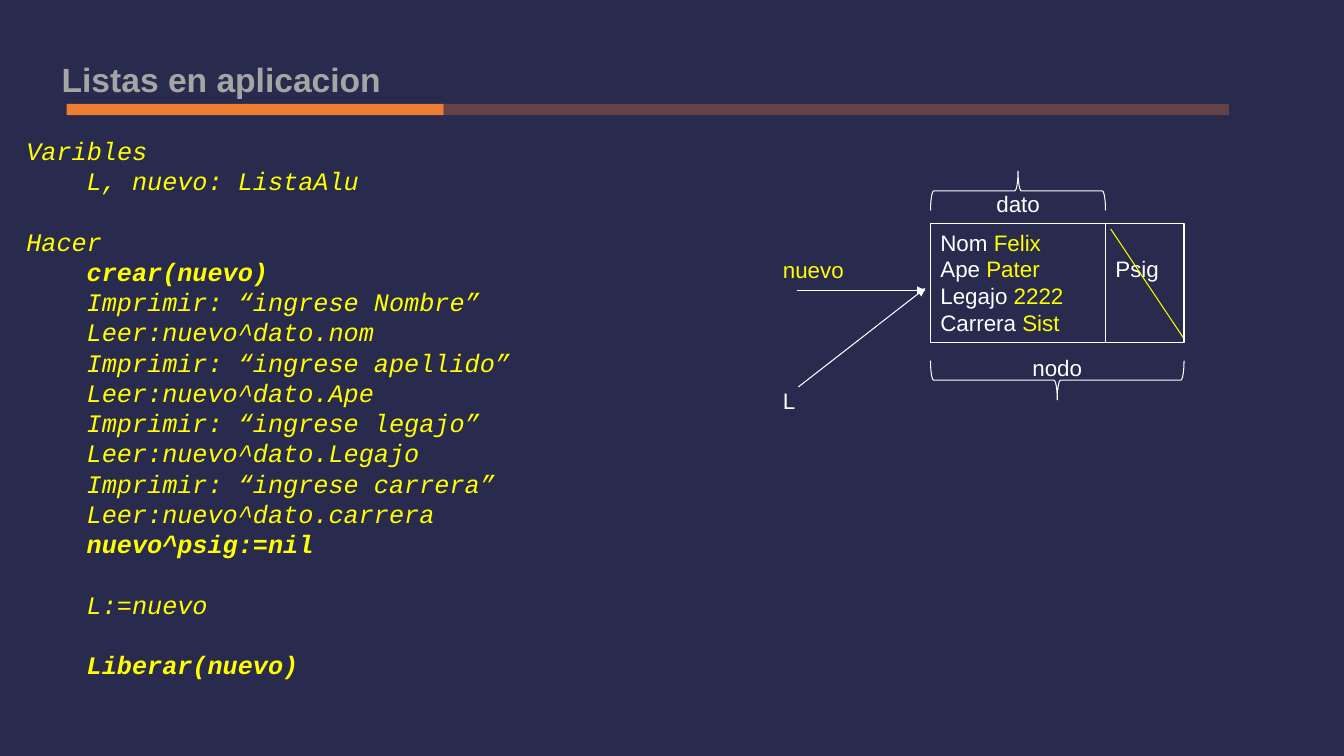
from dataclasses import dataclass

from pptx import Presentation
from pptx.dml.color import RGBColor
from pptx.enum.shapes import MSO_CONNECTOR as Connector, MSO_SHAPE as Preset
from pptx.enum.text import MSO_ANCHOR as Anchor, MSO_AUTO_SIZE as AutoSize, PP_ALIGN as Align
from pptx.oxml.ns import qn
from pptx.util import Cm, Pt


@dataclass(frozen=True)
class Theme:
    night: RGBColor = RGBColor(0x28, 0x2A, 0x4E)
    orange: RGBColor = RGBColor(0xED, 0x7D, 0x31)
    grey: RGBColor = RGBColor(0xA5, 0xA5, 0xA5)
    white: RGBColor = RGBColor(0xFF, 0xFF, 0xFF)
    yellow: RGBColor = RGBColor(0xFF, 0xFF, 0x00)
    sans: str = "Arial"
    mono: str = "Courier New"
    title_size: Pt = Pt(24)
    code_size: Pt = Pt(18)
    label_size: Pt = Pt(16)
    code_pitch: Pt = Pt(21.6)
    label_pitch: Pt = Pt(19.1)
    code_indent: Cm = Cm(1.52)
    hairline: Pt = Pt(0.75)


class SlidePainter:
    def __init__(self, page, theme):
        self.page, self.theme = page, theme
        fill = page.background.fill
        fill.solid()
        fill.fore_color.rgb = theme.night

    def place(self, shape, left, top, width, height):
        shape.left, shape.top = Cm(left), Cm(top)
        shape.width, shape.height = Cm(width), Cm(height)

    def style(self, para, face, size, color, bold=False, italic=False):
        font = para.font
        font.name, font.size, font.color.rgb = face, size, color
        font.bold, font.italic = bold, italic

    def frame(self, shape, anchor=Anchor.TOP):
        frame = shape.text_frame
        frame.word_wrap, frame.auto_size = True, AutoSize.NONE
        frame.vertical_anchor = anchor
        return frame

    def title(self, text, *area):
        shape = self.page.shapes.title
        self.place(shape, *area)
        para = self.frame(shape).paragraphs[0]
        para.text, para.alignment = text, Align.LEFT
        self.style(para, self.theme.sans, self.theme.title_size, self.theme.grey, bold=True)

    def code(self, lines, *area):
        """Each line holds its text, indent level, boldness and blank lines above."""
        theme, shape = self.theme, self.page.placeholders[1]
        self.place(shape, *area)
        frame = self.frame(shape)
        for index, (text, level, bold, gap) in enumerate(lines):
            para = frame.add_paragraph() if index else frame.paragraphs[0]
            para.text, para.alignment = text, Align.LEFT
            para.line_spacing = theme.code_pitch
            para.space_before, para.space_after = gap * theme.code_pitch, Pt(0)
            self.style(para, theme.mono, theme.code_size, theme.yellow, bold, italic=True)
            props = para._p.get_or_add_pPr()
            props.set("marL", str(level * theme.code_indent))
            props.set("indent", "0")
            props.insert_element_before(props.makeelement(qn("a:buNone"), {}),
                                        "a:tabLst", "a:defRPr", "a:extLst")

    def bar(self, *area, opacity=100):
        shape = self.page.shapes.add_shape(Preset.RECTANGLE, *map(Cm, area))
        shape.shadow.inherit = False
        shape.line.fill.background()
        shape.fill.solid()
        shape.fill.fore_color.rgb = self.theme.orange
        if opacity < 100:
            color = shape.fill._xPr.find(qn("a:solidFill"))[0]
            color.append(color.makeelement(qn("a:alpha"), {"val": str(opacity * 1000)}))

    def outline(self, preset, *area):
        shape = self.page.shapes.add_shape(preset, *map(Cm, area))
        shape.shadow.inherit = False
        shape.fill.background()
        shape.line.color.rgb, shape.line.width = self.theme.white, self.theme.hairline
        return shape

    def cell(self, rows, *area, top_inset=0.13):
        """Each row is a list of (text, color) spans."""
        theme = self.theme
        frame = self.frame(self.outline(Preset.RECTANGLE, *area))
        frame.margin_top = Cm(top_inset)
        for index, spans in enumerate(rows):
            para = frame.add_paragraph() if index else frame.paragraphs[0]
            para.alignment, para.line_spacing = Align.LEFT, theme.label_pitch
            self.style(para, theme.sans, theme.label_size, theme.white)
            for text, color in spans:
                span = para.add_run()
                span.text, span.font.color.rgb = text, color

    def brace(self, text, center_x, center_y, span, rotation, direction):
        thickness = 0.99
        shape = self.outline(Preset.LEFT_BRACE, center_x - thickness / 2,
                             center_y - span / 2, thickness, span)
        shape.rotation = rotation
        frame = self.frame(shape, Anchor.MIDDLE)
        frame._txBody.bodyPr.set("vert", direction)
        para = frame.paragraphs[0]
        para.text, para.alignment = text, Align.CENTER
        self.style(para, self.theme.sans, self.theme.label_size, self.theme.white)

    def label(self, text, color, *area):
        box = self.page.shapes.add_textbox(*map(Cm, area))
        para = self.frame(box).paragraphs[0]
        para.text = text
        self.style(para, self.theme.sans, self.theme.label_size, color)

    def line(self, start, end, color, arrow=False):
        link = self.page.shapes.add_connector(Connector.STRAIGHT, *map(Cm, start + end))
        link.line.color.rgb, link.line.width = color, self.theme.hairline
        if arrow:
            stroke = link.line._get_or_add_ln()
            stroke.append(stroke.makeelement(qn("a:tailEnd"), {"type": "triangle"}))
        props = link._element.spPr
        props.append(props.makeelement(qn("a:effectLst"), {}))


CODE = [
    ("Varibles", 0, False, 0),
    ("L, nuevo: ListaAlu", 1, False, 0),
    ("Hacer", 0, False, 1),
    ("crear(nuevo)", 1, True, 0),
    ("Imprimir: “ingrese Nombre”", 1, False, 0),
    ("Leer:nuevo^dato.nom", 1, False, 0),
    ("Imprimir: “ingrese apellido”", 1, False, 0),
    ("Leer:nuevo^dato.Ape", 1, False, 0),
    ("Imprimir: “ingrese legajo”", 1, False, 0),
    ("Leer:nuevo^dato.Legajo", 1, False, 0),
    ("Imprimir: “ingrese carrera”", 1, False, 0),
    ("Leer:nuevo^dato.carrera", 1, False, 0),
    ("nuevo^psig:=nil", 1, True, 0),
    ("L:=nuevo", 1, False, 1),
    ("Liberar(nuevo)", 1, True, 1),
]
RECORD = [("Nom ", "Felix"), ("Ape ", "Pater"), ("Legajo ", "2222"), ("Carrera ", "Sist")]


def main():
    deck = Presentation()
    deck.slide_width, deck.slide_height = Cm(33.87), Cm(19.05)
    theme = Theme()
    painter = SlidePainter(deck.slides.add_slide(deck.slide_layouts[1]), theme)

    # Heading with its two-tone rule
    painter.title("Listas en aplicacion", 1.3, 1.35, 29.77, 1.27)
    painter.bar(1.68, 2.62, 9.5, 0.28)
    painter.bar(11.18, 2.62, 19.79, 0.28, opacity=30)

    # Pseudocode
    painter.code(CODE, 0.41, 3.28, 18.5, 14.1)

    # Node: data cell and link cell
    left, top, height = 23.45, 5.64, 3
    data_width, link_width = 4.41, 1.98
    node_width = data_width + link_width
    rows = [[(field, theme.white), (value, theme.yellow)] for field, value in RECORD]
    painter.cell(rows, left, top, data_width, height)
    painter.cell([[("Psig", theme.white)]], left + data_width, top, link_width, height,
                 top_inset=0.8)

    # Braces around the node
    painter.brace("nodo", left + node_width / 2, 9.58, node_width, 270, "vert")
    painter.brace("dato", left + data_width / 2, 4.81, data_width, 90, "vert270")

    # Pointers and the nil stroke
    painter.label("nuevo", theme.yellow, 19.48, 6.32, 3, 0.94)
    painter.line((20.09, 7.32), (23.32, 7.32), theme.white, arrow=True)
    painter.label("L", theme.white, 19.48, 9.63, 3, 0.94)
    painter.line((20.12, 9.75), (23.32, 7.26), theme.white, arrow=True)
    painter.line((27.99, 5.77), (29.82, 8.51), theme.yellow)

    deck.save("out.pptx")


if __name__ == "__main__":
    main()
